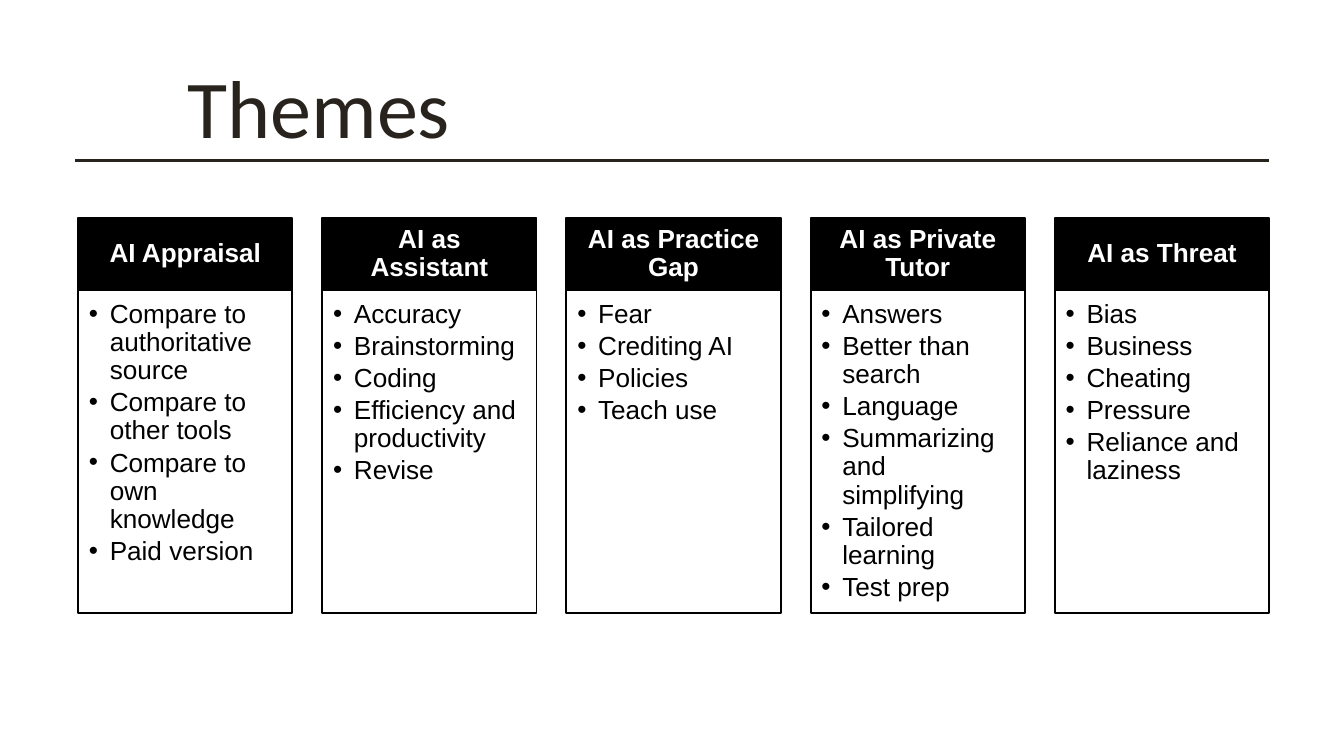
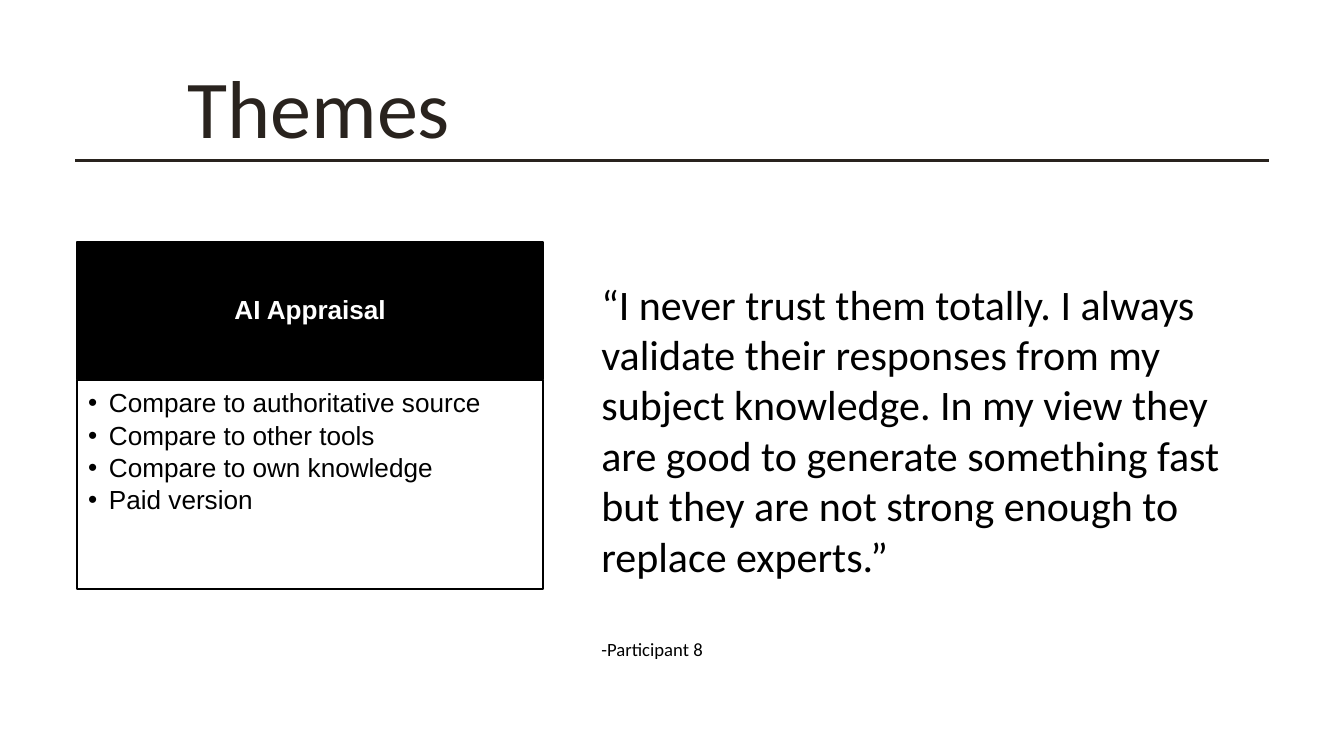
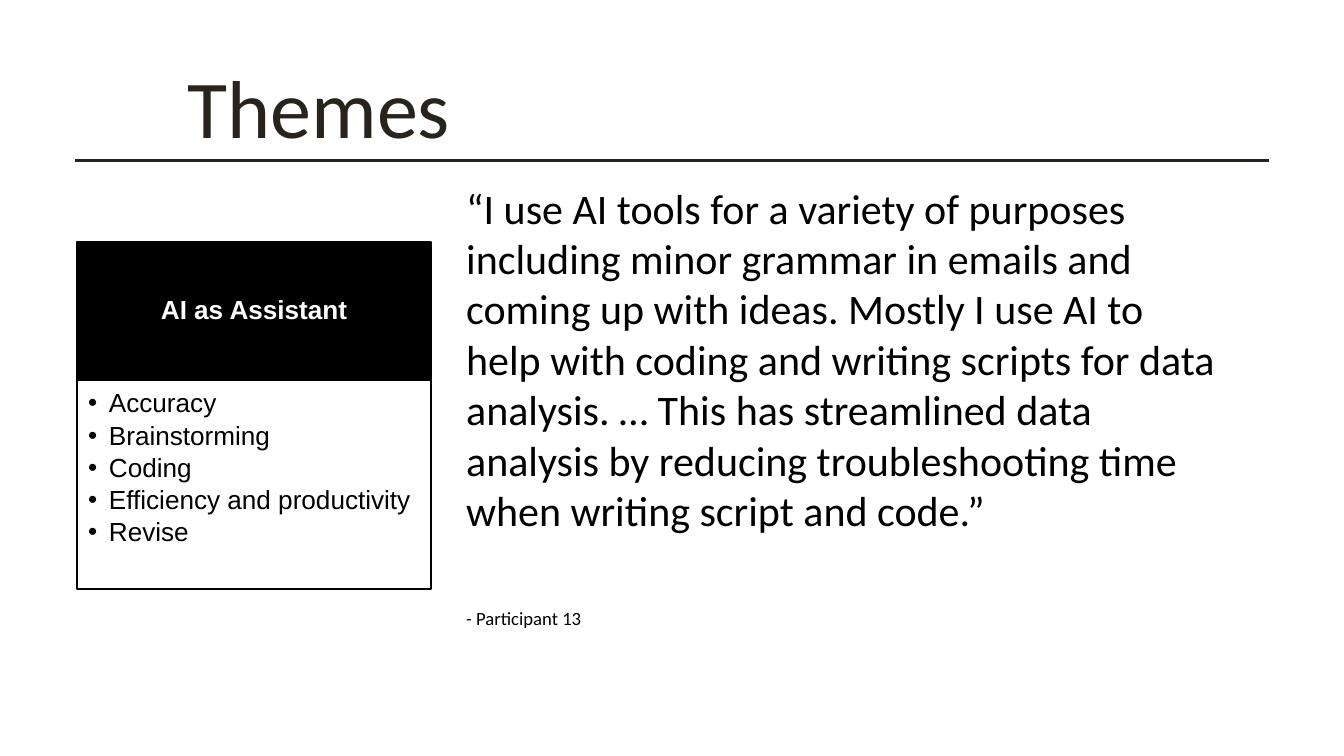
from dataclasses import dataclass

from lxml import etree
from pptx import Presentation
from pptx.dml.color import RGBColor
from pptx.enum.shapes import MSO_CONNECTOR, MSO_SHAPE
from pptx.enum.text import MSO_ANCHOR, PP_ALIGN
from pptx.oxml.ns import qn
from pptx.util import Cm, Pt

RECT = MSO_SHAPE.RECTANGLE
STRAIGHT = MSO_CONNECTOR.STRAIGHT
CENTER, LEFT = PP_ALIGN.CENTER, PP_ALIGN.LEFT
TOP, MIDDLE = MSO_ANCHOR.TOP, MSO_ANCHOR.MIDDLE

COLORS = {"title": "29231E", "black": "000000", "white": "FFFFFF"}
HEADING_FONT, CARD_FONT = "Calibri", "Arial"
CARD_SIZE = 28
HEAD_INSETS = (0.56, 0.3, 0.56, 0.3)
BODY_INSETS = (0.41, 0.41, 0.56, 0.61)
BULLET_INDENT = 0.79


@dataclass(frozen=True)
class Theme:
    name: str
    points: tuple[str, ...]


@dataclass(frozen=True)
class Box:
    left: float
    top: float
    width: float
    height: float

    def lengths(self) -> tuple:
        return Cm(self.left), Cm(self.top), Cm(self.width), Cm(self.height)


@dataclass(frozen=True)
class Quote:
    theme: Theme
    card_width: float
    box: Box
    text: str
    source: str
    gap: float


APPRAISAL = Theme("AI Appraisal", (
    "Compare to authoritative source", "Compare to other tools",
    "Compare to own knowledge", "Paid version"))
ASSISTANT = Theme("AI as Assistant", (
    "Accuracy", "Brainstorming", "Coding", "Efficiency and productivity", "Revise"))
THEMES = (
    APPRAISAL,
    ASSISTANT,
    Theme("AI as Practice Gap", ("Fear", "Crediting AI", "Policies", "Teach use")),
    Theme("AI as Private Tutor", (
        "Answers", "Better than search", "Language", "Summarizing and simplifying",
        "Tailored learning", "Test prep")),
    Theme("AI as Threat", (
        "Bias", "Business", "Cheating", "Pressure", "Reliance and laziness")),
)
QUOTES = (
    Quote(APPRAISAL, 17.6, Box(22.48, 10.39, 25.4, 14.78),
          "“I never trust them totally. I always validate their responses from my "
          "subject knowledge. In my view they are good to generate something fast "
          "but they are not strong enough to replace experts.”",
          "-Participant 8", 61),
    Quote(ASSISTANT, 13.36, Box(17.37, 6.76, 28.83, 19.2),
          "“I use AI tools for a variety of purposes including minor grammar in "
          "emails and coming up with ideas. Mostly I use AI to help with coding and "
          "writing scripts for data analysis. … This has streamlined data analysis "
          "by reducing troubleshooting time when writing script and code.”",
          "- Participant 13", 77),
)


def rgb(name: str) -> RGBColor:
    return RGBColor.from_string(COLORS[name])


def style(p, font: str, size: float, color: str, bold: bool = False) -> None:
    for r in p.runs:
        r.font.name = font
        r.font.size = Pt(size)
        r.font.bold = bold
        r.font.color.rgb = rgb(color)


def set_insets(tf, insets: tuple) -> None:
    tf.margin_left, tf.margin_top, tf.margin_right, tf.margin_bottom = map(Cm, insets)


def add_bullet(p) -> None:
    pPr = p._p.get_or_add_pPr()
    pPr.set("marL", str(Cm(BULLET_INDENT)))
    pPr.set("indent", str(-Cm(BULLET_INDENT)))
    etree.SubElement(pPr, qn("a:buFont")).set("typeface", CARD_FONT)
    etree.SubElement(pPr, qn("a:buChar")).set("char", "•")


def add_panel(slide, box: Box, fill: str, insets: tuple, anchor, lines: tuple):
    sp = slide.shapes.add_shape(RECT, *box.lengths())
    sp.shadow.inherit = False
    sp.fill.solid()
    sp.fill.fore_color.rgb = rgb(fill)
    sp.line.color.rgb = rgb("black")
    sp.line.width = Pt(2)
    tf = sp.text_frame
    tf.word_wrap = True
    tf.vertical_anchor = anchor
    set_insets(tf, insets)
    tf.text = "\n".join(lines)
    return tf


def add_card(slide, theme: Theme, box: Box, head_height: float) -> None:
    head = Box(box.left, box.top, box.width, head_height)
    body = Box(box.left, box.top + head_height, box.width, box.height - head_height)
    tf = add_panel(slide, head, "black", HEAD_INSETS, MIDDLE, (theme.name,))
    p = tf.paragraphs[0]
    p.alignment = CENTER
    p.line_spacing = 0.9
    style(p, CARD_FONT, CARD_SIZE, "white", bold=True)
    tf = add_panel(slide, body, "white", BODY_INSETS, TOP, theme.points)
    for p in tf.paragraphs:
        add_bullet(p)
        p.alignment = LEFT
        p.line_spacing = 0.9
        p.space_after = Pt(0.15 * CARD_SIZE)
        style(p, CARD_FONT, CARD_SIZE, "black")


def add_text(slide, box: Box, text: str):
    tf = slide.shapes.add_textbox(*box.lengths()).text_frame
    tf.word_wrap = True
    tf.text = text
    return tf


def add_themes_slide(prs):
    slide = prs.slides.add_slide(prs.slide_layouts[6])
    rule = slide.shapes.add_connector(STRAIGHT, Cm(2.84), Cm(6.07), Cm(47.96), Cm(6.07))
    rule.line.color.rgb = rgb("title")
    rule.line.width = Pt(3)
    etree.SubElement(rule._element.spPr, qn("a:effectLst"))
    tf = add_text(slide, Box(2.39, 2.84, 19.33, 3), "Themes")
    set_insets(tf, (0, 0, 0, 0))
    p = tf.paragraphs[0]
    p.alignment = CENTER
    p.line_spacing = 0.8
    style(p, HEADING_FONT, 88, "title")
    return slide


def add_overview(prs) -> None:
    slide = add_themes_slide(prs)
    for i, theme in enumerate(THEMES):
        add_card(slide, theme, Box(2.95 + i * 9.23, 8.23, 8.1, 14.96), 2.72)


def add_quote(prs, quote: Quote) -> None:
    slide = add_themes_slide(prs)
    add_card(slide, quote.theme, Box(2.92, 9.14, quote.card_width, 13.13), 5.21)
    tf = add_text(slide, quote.box, quote.text)
    style(tf.paragraphs[0], HEADING_FONT, 45, "black")
    p = tf.add_paragraph()
    p.text = quote.source
    p.space_before = Pt(quote.gap)
    style(p, HEADING_FONT, 20, "black")


def main() -> None:
    prs = Presentation()
    prs.slide_width, prs.slide_height = Cm(50.8), Cm(28.58)
    add_overview(prs)
    for quote in QUOTES:
        add_quote(prs, quote)
    prs.save("out.pptx")


if __name__ == "__main__":
    main()
